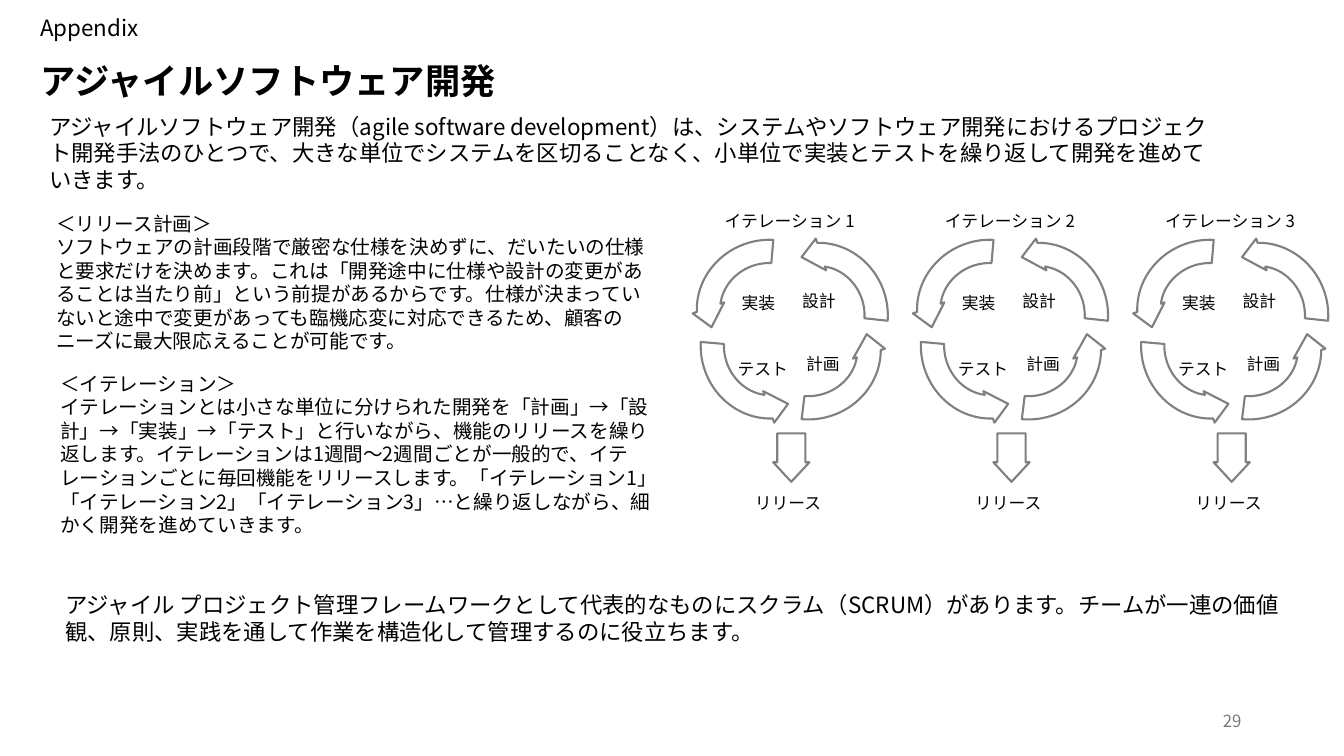
from lxml.etree import SubElement
from pptx import Presentation
from pptx.dml.color import RGBColor
from pptx.enum.shapes import MSO_SHAPE
from pptx.enum.text import MSO_ANCHOR, MSO_AUTO_SIZE, PP_ALIGN
from pptx.oxml.ns import qn
from pptx.util import Pt

FONT = "Noto Sans CJK JP"
CYCLE_PITCH = 157.3
CYCLE_ARROWS = [
    (531.4, 172.1, 254.5),
    (493.9, 167.8, 163.3),
    (494.6, 196.6, 73.4),
    (524.2, 199.4, 345.5),
]
CYCLE_LABELS = [
    ("テスト", 519.8, 252.7, 53),
    ("計画", 568.8, 249.1, 47),
    ("設計", 565.9, 203.8, 47),
    ("実装", 522.7, 205.9, 47),
    ("リリース", 532.1, 348.5, 92),
]
OVERVIEW = (
    "アジャイルソフトウェア開発（agile software development）は、システムやソフトウェア開発における"
    "プロジェクト開発手法のひとつで、大きな単位でシステムを区切ることなく、小単位で実装とテストを"
    "繰り返して開発を進めていきます。"
)
RELEASE_PLAN = (
    "ソフトウェアの計画段階で厳密な仕様を決めずに、だいたいの仕様と要求だけを決めます。"
    "これは「開発途中に仕様や設計の変更があることは当たり前」という前提があるからです。"
    "仕様が決まっていないと途中で変更があっても臨機応変に対応できるため、"
    "顧客のニーズに最大限応えることが可能です。"
)
ITERATION = (
    "イテレーションとは小さな単位に分けられた開発を「計画」→「設計」→「実装」→「テスト」と"
    "行いながら、機能のリリースを繰り返します。イテレーションは1週間～2週間ごとが一般的で、"
    "イテレーションごとに毎回機能をリリースします。「イテレーション1」「イテレーション2」"
    "「イテレーション3」…と繰り返しながら、細かく開発を進めていきます。"
)
SCRUM = (
    "アジャイル プロジェクト管理フレームワークとして代表的なものにスクラム（SCRUM）があります。"
    "チームが一連の価値観、原則、実践を通して作業を構造化して管理するのに役立ちます。"
)


def color(value):
    return RGBColor.from_string(value)


def write(paragraph, text, size, ink="000000", bold=False):
    run = paragraph.add_run()
    run.text = text
    font = run.font
    font.size, font.name, font.bold = Pt(size), FONT, bold
    font.color.rgb = color(ink)
    SubElement(run.font._element, qn("a:ea"), typeface=FONT)


def add_text(shapes, lines, left, top, width, height, size, ink="000000"):
    box = shapes.add_textbox(Pt(left), Pt(top), Pt(width), Pt(height))
    frame = box.text_frame
    frame.word_wrap = True
    frame.auto_size = MSO_AUTO_SIZE.SHAPE_TO_FIT_TEXT
    for index, line in enumerate(lines):
        paragraph = frame.add_paragraph() if index else frame.paragraphs[0]
        write(paragraph, line, size, ink)
    return frame


def add_title(slide, text):
    title = slide.shapes.title
    title.left, title.top = Pt(21.6), Pt(45.4)
    title.width, title.height = Pt(828), Pt(47.5)
    frame = title.text_frame
    frame.word_wrap = True
    frame.auto_size = MSO_AUTO_SIZE.NONE
    frame.vertical_anchor = MSO_ANCHOR.TOP
    frame.margin_top = 0
    heading = frame.paragraphs[0]
    heading.alignment = PP_ALIGN.LEFT
    heading.line_spacing = 0.9
    write(heading, text, 25.2, bold=True)


def add_arrow(shapes, kind, left, top, width, height, rotation, adjustments):
    arrow = shapes.add_shape(kind, Pt(left), Pt(top), Pt(width), Pt(height))
    arrow.rotation = rotation
    arrow.shadow.inherit = False
    arrow.fill.solid()
    arrow.fill.fore_color.rgb = color("FFFFFF")
    arrow.line.color.rgb = color("808080")
    arrow.line.width = Pt(1.5)
    for index, value in enumerate(adjustments):
        arrow.adjustments[index] = value
    return arrow


def add_iteration(slide, number):
    """Draw one development cycle with its release arrow as a group."""
    shapes = slide.shapes.add_group_shape().shapes
    shift = (number - 1) * CYCLE_PITCH
    for left, top, rotation in CYCLE_ARROWS:
        arc = add_arrow(shapes, MSO_SHAPE.CIRCULAR_ARROW, left + shift, top, 108.7, 103.7,
                        rotation, (0.16, 11.42, 206.17, 149.06, 0.115))
        arc._element.spPr.get_or_add_xfrm().set("flipV", "1")
    add_arrow(shapes, MSO_SHAPE.RIGHT_ARROW, 547.9 + shift, 313.9, 34.6, 25.9, 90, (0.776, 0.539))
    for label, left, top, width in CYCLE_LABELS:
        add_text(shapes, [label], left + shift, top, width, 21.6, 12)
    add_text(shapes, [f"イテレーション {number}"], 510.5 + shift, 147.2, 118, 21.6, 12)


def main():
    deck = Presentation()
    deck.slide_width, deck.slide_height = Pt(960), Pt(540)
    slide = deck.slides.add_slide(deck.slide_layouts[5])
    shapes = slide.shapes
    add_title(slide, "アジャイルソフトウェア開発")
    section = add_text(shapes, ["Appendix"], 21.6, 11.5, 828, 28.8, 16)
    section.auto_size = MSO_AUTO_SIZE.NONE
    section.margin_top = Pt(1)
    section.paragraphs[0].line_spacing = 0.9
    add_text(shapes, [OVERVIEW], 28, 77, 848, 46, 16)
    add_text(shapes, ["＜リリース計画＞", RELEASE_PLAN], 33, 147.6, 444, 92, 14)
    add_text(shapes, ["＜イテレーション＞", ITERATION], 36, 262, 444, 109, 14)
    for number in (1, 2, 3):
        add_iteration(slide, number)
    add_text(shapes, [SCRUM], 39.6, 419, 895, 46, 16)
    page = add_text(shapes, ["29"], 678, 500.4, 216, 28.8, 12, "797979")
    page.auto_size = MSO_AUTO_SIZE.NONE
    page.vertical_anchor = MSO_ANCHOR.MIDDLE
    page.paragraphs[0].alignment = PP_ALIGN.RIGHT
    deck.save("out.pptx")


if __name__ == "__main__":
    main()
